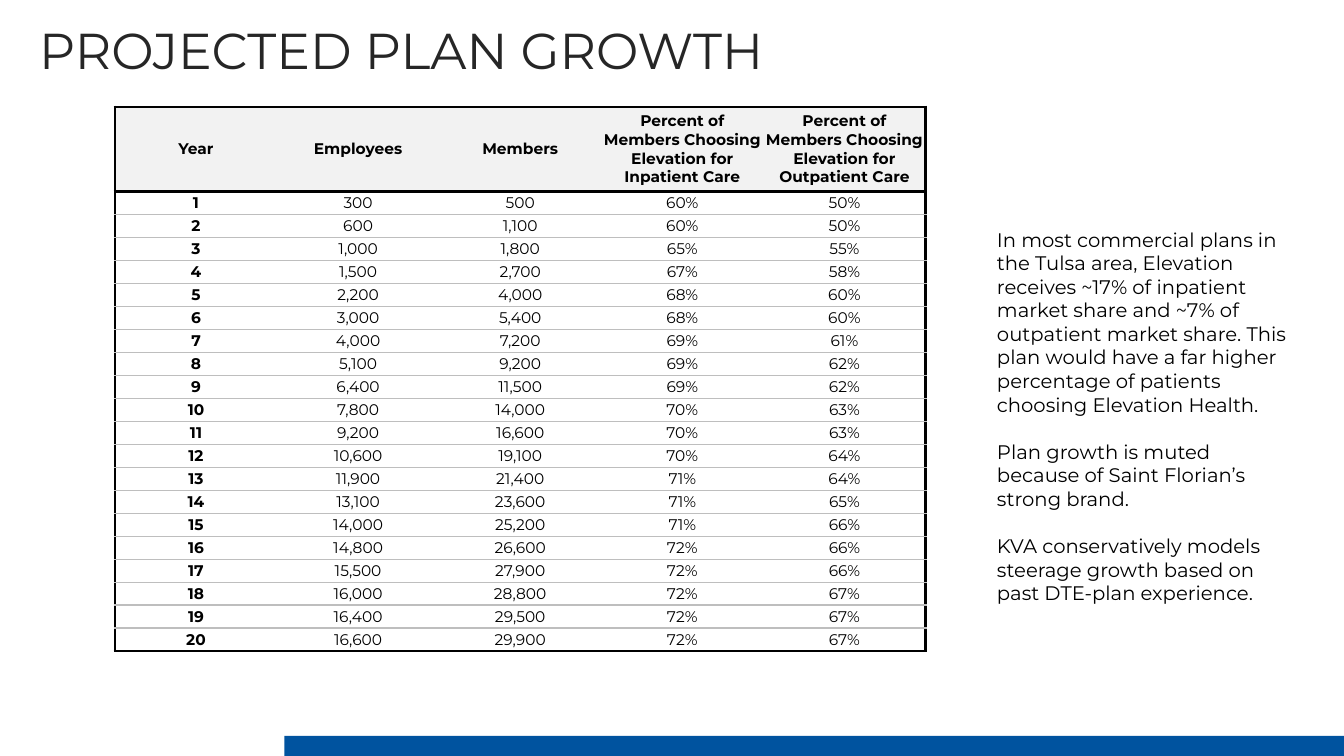
from lxml import etree
from pptx import Presentation
from pptx import util as u
from pptx.dml import color
from pptx.enum import shapes, text
from pptx.oxml import ns

# Content
TITLE = "PROJECTED PLAN GROWTH"
HEADINGS = (
    "Year", "Employees", "Members",
    "Percent of Members Choosing Elevation for Inpatient Care",
    "Percent of Members Choosing Elevation for Outpatient Care",
)
GROWTH = [  # employees, members, inpatient %, outpatient %; one row a year
    (300, 500, 60, 50),
    (600, 1100, 60, 50),
    (1000, 1800, 65, 55),
    (1500, 2700, 67, 58),
    (2200, 4000, 68, 60),
    (3000, 5400, 68, 60),
    (4000, 7200, 69, 61),
    (5100, 9200, 69, 62),
    (6400, 11500, 69, 62),
    (7800, 14000, 70, 63),
    (9200, 16600, 70, 63),
    (10600, 19100, 70, 64),
    (11900, 21400, 71, 64),
    (13100, 23600, 71, 65),
    (14000, 25200, 71, 66),
    (14800, 26600, 72, 66),
    (15500, 27900, 72, 66),
    (16000, 28800, 72, 67),
    (16400, 29500, 72, 67),
    (16600, 29900, 72, 67),
]
COMMENTS = [
    "In most commercial plans in the Tulsa area, Elevation receives ~17% of "
    "inpatient market share and ~7% of outpatient market share. This plan would "
    "have a far higher percentage of patients choosing Elevation Health.",
    "Plan growth is muted because of Saint Florian’s strong brand.",
    "KVA conservatively models steerage growth based on past DTE-plan experience.",
]

# Format
FONT = "Montserrat"
BLACK, GREY, HEADING_FILL, BLUE = "000000", "BEBEBE", "F2F2F2", "00539F"
FRAME, RULE = (BLACK, 2), (GREY, 1)
NO_GRID_STYLE = "{2D5ABB26-0587-4C30-8999-92F81FD0307C}"
HEADING_HEIGHT, TABLE_HEIGHT = 0.84, 5.4


def rgb(value):
    return color.RGBColor.from_string(value)


def apply(target, values):
    for name, value in values.items():
        setattr(target, name, value)


def write(paragraph, words, size, ink=BLACK, bold=False, **layout):
    apply(paragraph, layout)
    run = paragraph.add_run()
    run.text = words
    apply(run.font, {"name": FONT, "size": u.Pt(size), "bold": bold})
    run.font.color.rgb = rgb(ink)


def add_text_frame(slide, box, anchor):
    frame = slide.shapes.add_textbox(*map(u.Inches, box)).text_frame
    apply(frame, {"word_wrap": True, "vertical_anchor": anchor})
    return frame


def add_border(cell, side, ink, width):
    props = cell._tc.get_or_add_tcPr()
    line = etree.SubElement(props, ns.qn("a:ln" + side), w=str(u.Pt(width)))
    fill = etree.SubElement(line, ns.qn("a:solidFill"))
    etree.SubElement(fill, ns.qn("a:srgbClr"), val=ink)


def add_growth_table(slide):
    rows = [HEADINGS] + [
        (str(year), f"{employees:,}", f"{members:,}", f"{inpatient}%", f"{outpatient}%")
        for year, (employees, members, inpatient, outpatient) in enumerate(GROWTH, 1)
    ]
    last_row, last_column = len(rows) - 1, len(HEADINGS) - 1
    box = map(u.Inches, (1.14, 1.06, 8.04, TABLE_HEIGHT))
    table = slide.shapes.add_table(len(rows), len(HEADINGS), *box).table
    apply(table, {"first_row": False, "horz_banding": False})
    table._tbl.tblPr.find(ns.qn("a:tableStyleId")).text = NO_GRID_STYLE

    year_height = (TABLE_HEIGHT - HEADING_HEIGHT) / len(GROWTH)
    for r, values in enumerate(rows):
        table.rows[r].height = u.Inches(year_height if r else HEADING_HEIGHT)
        for c, value in enumerate(values):
            cell = table.cell(r, c)
            apply(cell, {
                "margin_left": 0, "margin_right": 0, "margin_top": 0, "margin_bottom": 0,
                "vertical_anchor": text.MSO_ANCHOR.MIDDLE,
            })
            write(cell.text_frame.paragraphs[0], value, 11, bold=r == 0 or c == 0,
                  alignment=text.PP_ALIGN.CENTER)
            # Dark frame around the table and heading, grey rules between years
            if c == 0:
                add_border(cell, "L", *FRAME)
            if c == last_column:
                add_border(cell, "R", *FRAME)
            add_border(cell, "T", *(FRAME if r <= 1 else RULE))
            add_border(cell, "B", *(FRAME if r in (0, last_row) else RULE))
            if r == 0:
                cell.fill.solid()
                cell.fill.fore_color.rgb = rgb(HEADING_FILL)
            else:
                cell.fill.background()


def main():
    deck = Presentation()
    apply(deck, {"slide_width": u.Inches(13.33), "slide_height": u.Inches(7.5)})
    slide = deck.slides.add_slide(deck.slide_layouts[6])

    # Title
    title = add_text_frame(slide, (0.29, -0.2, 12.12, 1.45), text.MSO_ANCHOR.MIDDLE)
    write(title.paragraphs[0], TITLE, 36, "262626", line_spacing=0.9)

    # Footer bar
    footer = slide.shapes.add_shape(
        shapes.MSO_SHAPE.RECTANGLE, *map(u.Inches, (2.82, 7.3, 10.53, 0.21)))
    footer.shadow.inherit = False
    footer.fill.solid()
    footer.fill.fore_color.rgb = rgb(BLUE)
    footer.line.fill.background()

    add_growth_table(slide)

    # Comments beside the table
    comments = add_text_frame(slide, (9.79, 2.21, 3.14, 3.87), text.MSO_ANCHOR.TOP)
    for i, comment in enumerate(COMMENTS):
        if i == 0:
            write(comments.paragraphs[0], comment, 14)
        else:
            write(comments.add_paragraph(), comment, 14, space_before=u.Pt(17))

    deck.save("out.pptx")


if __name__ == "__main__":
    main()
